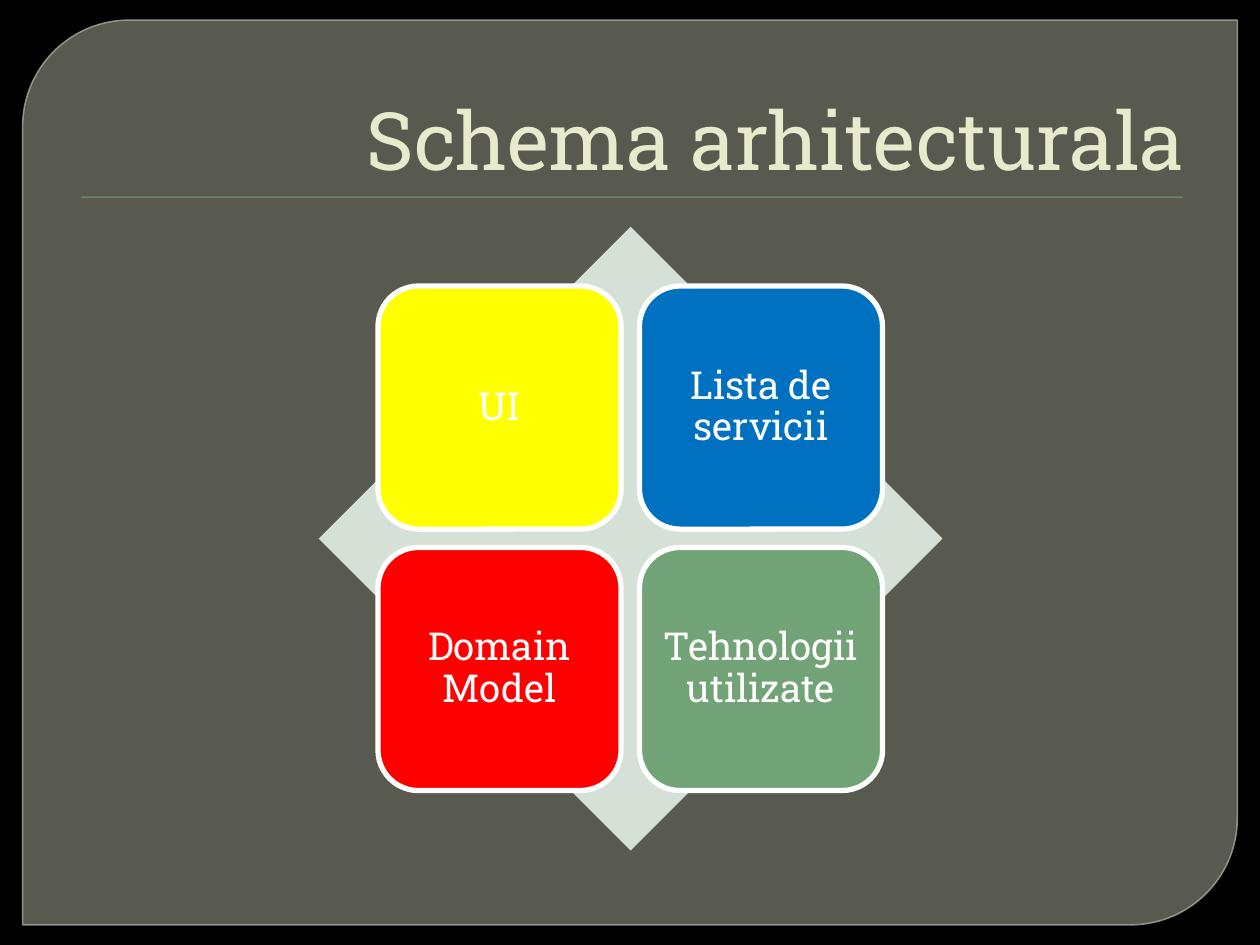
from lxml.etree import SubElement
from pptx import Presentation
from pptx.dml.color import RGBColor
from pptx.enum.shapes import MSO_SHAPE as Shape
from pptx.enum.text import MSO_ANCHOR as Anchor, PP_ALIGN as Align
from pptx.oxml.ns import qn
from pptx.util import Inches, Pt

FONT = "Roboto Slab"
TILE_SIZE = 1.93
TILE_LEFT, TILE_TOP = 3, 2.27
TILE_STEP = 2.075
TILES = [
    ("UI", "FFFF00"),
    ("Lista de servicii", "0070C0"),
    ("Domain Model", "FF0000"),
    ("Tehnologii utilizate", "72A376"),
]


def color(hex_value):
    return RGBColor.from_string(hex_value)


def set_opacity(fill_format, percent):
    """Make a solid fill (of a shape or a line) partly transparent."""
    solid = fill_format.fore_color._xFill
    SubElement(solid[0], qn("a:alpha"), val=str(percent * 1000))


def add_filled(slide, kind, left, top, width, height, fill, line=None, line_width=0):
    shape = slide.shapes.add_shape(
        kind, Inches(left), Inches(top), Inches(width), Inches(height))
    shape.shadow.inherit = False
    shape.fill.solid()
    shape.fill.fore_color.rgb = color(fill)
    if line:
        shape.line.color.rgb = color(line)
        shape.line.width = Pt(line_width)
    else:
        shape.line.fill.background()
    return shape


def format_text(para, size, hex_value, align):
    para.alignment = align
    para.font.name = FONT
    para.font.size = Pt(size)
    para.font.color.rgb = color(hex_value)


def add_panel(slide):
    panel = add_filled(slide, Shape.ROUND_2_DIAG_RECTANGLE, 0.18, 0.16, 9.64, 7.18,
                       "888B7B", "9DA090", 0.87)
    panel.adjustments[0] = 0.118
    panel.adjustments[1] = 0
    set_opacity(panel.fill, 65)
    set_opacity(panel.line.fill, 88)
    # Behind the title placeholder
    slide.shapes._spTree.insert(2, panel._element)


def set_title(slide, text):
    title = slide.shapes.title
    title.left, title.top = Inches(0.5), Inches(0.28)
    title.width, title.height = Inches(9), Inches(1.25)
    frame = title.text_frame
    frame.text = text
    frame.vertical_anchor = Anchor.BOTTOM
    format_text(frame.paragraphs[0], 46, "E7EACB", Align.RIGHT)


def add_tile(slide, left, top, text, fill):
    tile = add_filled(slide, Shape.ROUNDED_RECTANGLE, left, top, TILE_SIZE, TILE_SIZE,
                      fill, "FFFFFF", 3)
    frame = tile.text_frame
    frame.word_wrap = True
    frame.vertical_anchor = Anchor.MIDDLE
    frame.margin_left = frame.margin_right = 0
    frame.margin_top = frame.margin_bottom = 0
    frame.text = text
    para = frame.paragraphs[0]
    para.line_spacing = 0.9
    format_text(para, 22, "FFFFFF", Align.CENTER)


def main():
    deck = Presentation()
    deck.slide_width, deck.slide_height = Inches(10), Inches(7.5)
    slide = deck.slides.add_slide(deck.slide_layouts[5])
    slide.background.fill.solid()
    slide.background.fill.fore_color.rgb = color("000000")

    add_panel(slide)
    set_title(slide, "Schema arhitecturala")
    add_filled(slide, Shape.RECTANGLE, 0.64, 1.56, 8.75, 0.01, "72A376")
    add_filled(slide, Shape.DIAMOND, 2.53, 1.8, 4.95, 4.95, "D5E0D6")
    for index, (text, fill) in enumerate(TILES):
        row, column = divmod(index, 2)
        add_tile(slide, TILE_LEFT + column * TILE_STEP, TILE_TOP + row * TILE_STEP,
                 text, fill)
    deck.save("out.pptx")


if __name__ == "__main__":
    main()
